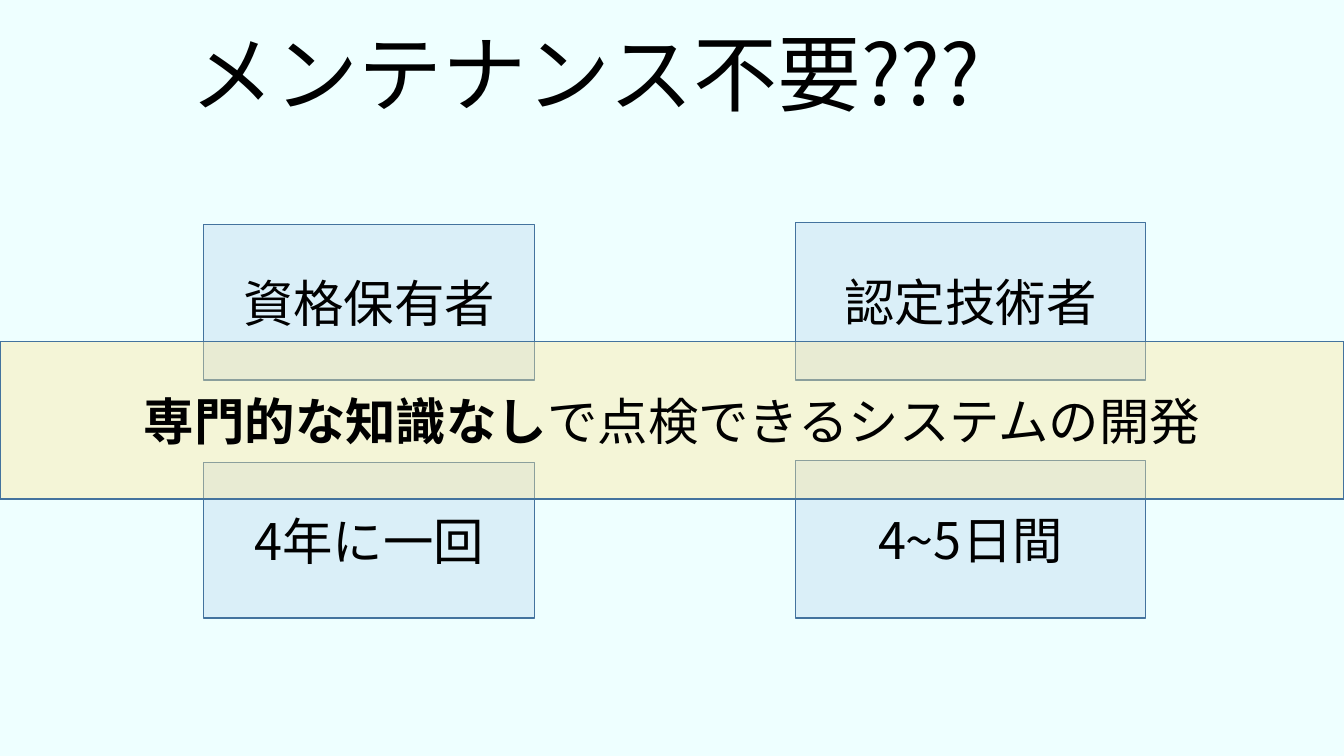
from dataclasses import dataclass

from lxml import etree
from pptx import Presentation
from pptx.dml.color import RGBColor
from pptx.enum import shapes, text
from pptx.oxml import ns
from pptx.util import Inches, Pt


@dataclass(frozen=True)
class Theme:
    font: str = "Noto Sans CJK JP"
    background: str = "EEFFFF"
    ink: str = "000000"
    card: str = "BDD7EE"
    banner: str = "FFE699"
    outline: str = "43739E"
    opacity: int = 39
    title_size: int = 60
    body_size: int = 36


THEME = Theme()


def format_span(span, size, bold=False):
    span.font.size = Pt(size)
    span.font.bold = bold
    span.font.color.rgb = RGBColor.from_string(THEME.ink)
    span.font.name = THEME.font
    east_asian = etree.SubElement(span._r.get_or_add_rPr(), ns.qn("a:ea"))
    east_asian.set("typeface", THEME.font)


def set_title(page, wording):
    title = page.shapes.title
    title.left, title.top = Inches(1.79), Inches(0)
    title.width, title.height = Inches(10.54), Inches(1.28)
    frame = title.text_frame
    frame.text = wording
    frame.word_wrap = True
    frame.auto_size = text.MSO_AUTO_SIZE.NONE
    frame.vertical_anchor = text.MSO_ANCHOR.BOTTOM
    para = frame.paragraphs[0]
    para.alignment = text.PP_ALIGN.LEFT
    para.line_spacing = 0.9
    format_span(para.runs[0], THEME.title_size)


def fill_translucent(box, color):
    box.fill.solid()
    box.fill.fore_color.rgb = RGBColor.from_string(color)
    color_node = box._element.spPr.find(ns.qn("a:solidFill"))[0]
    alpha = etree.SubElement(color_node, ns.qn("a:alpha"))
    alpha.set("val", str(THEME.opacity * 1000))


def add_panel(page, left, top, width, height, color, wording, bold_lead=""):
    box = page.shapes.add_shape(
        shapes.MSO_SHAPE.RECTANGLE,
        Inches(left), Inches(top), Inches(width), Inches(height),
    )
    box.shadow.inherit = False
    fill_translucent(box, color)
    box.line.color.rgb = RGBColor.from_string(THEME.outline)
    box.line.width = Pt(1)
    frame = box.text_frame
    frame.word_wrap = True
    frame.vertical_anchor = text.MSO_ANCHOR.MIDDLE
    para = frame.paragraphs[0]
    para.alignment = text.PP_ALIGN.CENTER
    for part, bold in ((bold_lead, True), (wording, False)):
        if part:
            span = para.add_run()
            span.text = part
            format_span(span, THEME.body_size, bold)


def main():
    deck = Presentation()
    deck.slide_width, deck.slide_height = Inches(13.33), Inches(7.5)
    page = deck.slides.add_slide(deck.slide_layouts[5])
    page.background.fill.solid()
    page.background.fill.fore_color.rgb = RGBColor.from_string(THEME.background)

    set_title(page, "メンテナンス不要???")

    row_step = 2.36
    columns = (
        (7.89, 2.21, 3.47, 1.56, ("認定技術者", "4~5日間")),
        (2.02, 2.23, 3.28, 1.54, ("資格保有者", "4年に一回")),
    )
    for left, top, width, height, wordings in columns:
        for row, wording in enumerate(wordings):
            add_panel(page, left, top + row * row_step, width, height,
                      THEME.card, wording)

    add_panel(page, 0, 3.39, 13.33, 1.56, THEME.banner,
              "で点検できるシステムの開発", bold_lead="専門的な知識なし")
    deck.save("out.pptx")


if __name__ == "__main__":
    main()
